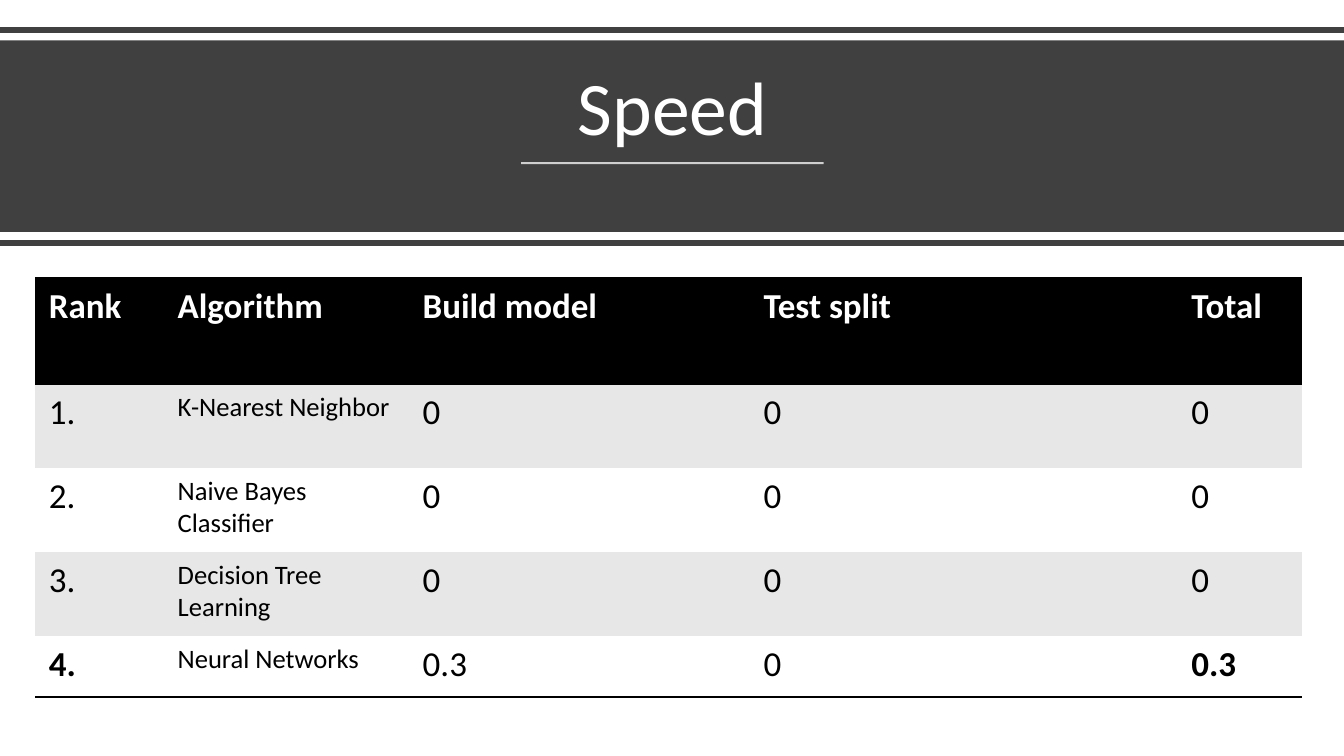
from dataclasses import dataclass
from lxml.etree import SubElement
from pptx import Presentation
from pptx.dml.color import RGBColor
from pptx.enum.shapes import MSO_CONNECTOR, MSO_SHAPE
from pptx.enum.text import MSO_ANCHOR, PP_ALIGN
from pptx.oxml import parse_xml
from pptx.oxml.ns import nsdecls, qn
from pptx.util import Pt


@dataclass(frozen=True)
class Theme:
    font: str = "Calibri"
    dark: str = "404040"
    black: str = "000000"
    white: str = "FFFFFF"
    stripe: str = "E7E7E7"
    title: int = 54
    body: int = 25
    small: int = 19


theme = Theme()


def write(tf, text, size, color, bold=False):
    p = tf.paragraphs[0]
    r = p.add_run()
    r.text = text
    style = {"name": theme.font, "size": Pt(size), "bold": bold}
    for key, value in style.items():
        setattr(r.font, key, value)
    r.font.color.rgb = RGBColor.from_string(color)
    return p


def add_border(cell, side):
    ln = parse_xml(
        f'<a:{side} {nsdecls("a")} w="{Pt(2)}"><a:solidFill>'
        f'<a:srgbClr val="{theme.black}"/></a:solidFill></a:{side}>'
    )
    tcPr = cell._tc.get_or_add_tcPr()
    tcPr.insert(len(tcPr.findall(qn("a:lnT"))), ln)


prs = Presentation()
prs.slide_width, prs.slide_height = Pt(960), Pt(540)
s = prs.slides.add_slide(prs.slide_layouts[6])

band = s.shapes.add_shape(MSO_SHAPE.RECTANGLE, 0, Pt(28.8), Pt(960), Pt(136.8))
band.shadow.inherit = False
band.fill.solid()
band.fill.fore_color.rgb = RGBColor.from_string(theme.dark)
band.line.fill.background()

rules = [
    (0, 960, 21.6, theme.dark, 4, 100),
    (372.25, 588.25, 116.5, theme.white, 1.5, 75),
    (0, 960, 173.5, theme.dark, 4, 100),
]
for left, right, y, color, width, opacity in rules:
    sp = s.shapes.add_connector(
        MSO_CONNECTOR.STRAIGHT, Pt(left), Pt(y), Pt(right), Pt(y)
    )
    sp.line.width = Pt(width)
    sp.line.color.rgb = RGBColor.from_string(color)
    spPr = sp._element.spPr
    SubElement(spPr, qn("a:effectLst"))
    if opacity < 100:
        clr = spPr.find(".//" + qn("a:srgbClr"))
        SubElement(clr, qn("a:alpha"), val=str(opacity * 1000))

title = s.shapes.add_textbox(Pt(41.75), Pt(38.9), Pt(877), Pt(73.4))
tf = title.text_frame
for key, value in {"word_wrap": True, "vertical_anchor": MSO_ANCHOR.BOTTOM}.items():
    setattr(tf, key, value)
p = write(tf, "Speed", theme.title, theme.white)
for key, value in {"alignment": PP_ALIGN.CENTER, "line_spacing": 0.9}.items():
    setattr(p, key, value)

rows = [
    ("Rank", "Algorithm", "Build model", "Test split", "Total"),
    ("1.", "K-Nearest Neighbor", "0", "0", "0"),
    ("2.", "Naive Bayes Classifier", "0", "0", "0"),
    ("3.", "Decision Tree Learning", "0", "0", "0"),
    ("4.", "Neural Networks", "0.3", "0", "0.3"),
]
widths = [92, 175, 243.5, 305.5, 89]
heights = [75.5, 60, 60, 60, 43.5]
last = len(rows) - 1

frame = s.shapes.add_table(
    len(rows), len(widths), Pt(25), Pt(199), Pt(sum(widths)), Pt(sum(heights))
)
table = frame.table
table._tbl.tblPr.find(qn("a:tableStyleId")).text = (
    "{2D5ABB26-0587-4C30-8999-92F81FD0307C}"
)
for column, width in zip(table.columns, widths):
    column.width = Pt(width)
for row, height in zip(table.rows, heights):
    row.height = Pt(height)

margins = {
    "margin_left": Pt(10),
    "margin_right": Pt(10),
    "margin_top": Pt(5),
    "margin_bottom": Pt(5),
}
for i, texts in enumerate(rows):
    header = i == 0
    fill = theme.black if header else theme.stripe if i % 2 else theme.white
    color = theme.white if header else theme.black
    for j, text in enumerate(texts):
        cell = table.cell(i, j)
        for key, value in margins.items():
            setattr(cell, key, value)
        cell.fill.solid()
        cell.fill.fore_color.rgb = RGBColor.from_string(fill)
        if header:
            add_border(cell, "lnT")
        if i in (0, last):
            add_border(cell, "lnB")
        size = theme.small if j == 1 and not header else theme.body
        bold = header or (i == last and j in (0, 4))
        write(cell.text_frame, text, size, color, bold)

prs.save("out.pptx")
